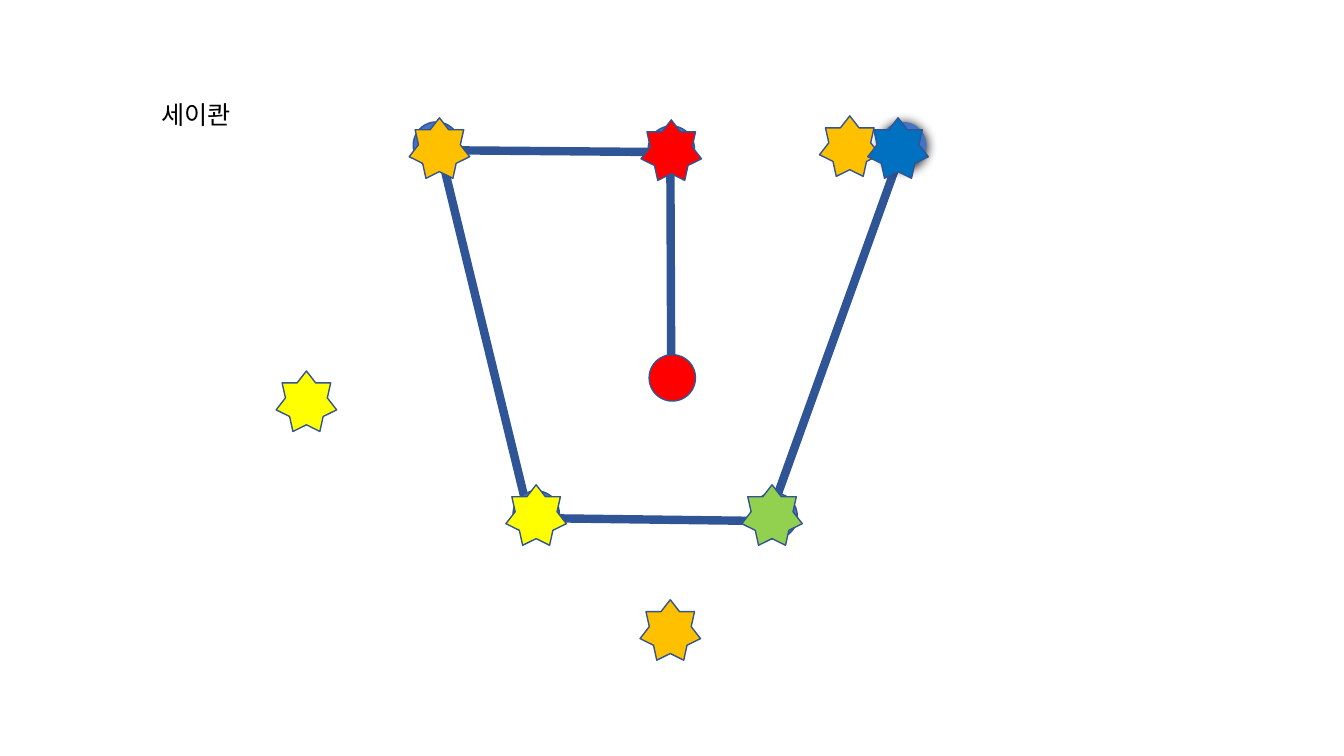
from lxml import etree
from pptx import Presentation
from pptx.dml.color import RGBColor
from pptx.enum.shapes import MSO_CONNECTOR, MSO_SHAPE
from pptx.enum.text import MSO_AUTO_SIZE
from pptx.oxml import parse_xml
from pptx.oxml.ns import nsdecls, qn
from pptx.util import Pt

FONT = "Noto Sans CJK KR"
BLACK = RGBColor(0x00, 0x00, 0x00)
NAVY = RGBColor(0x2F, 0x55, 0x97)
OUTLINE = RGBColor(0x32, 0x54, 0x91)
BLUE = RGBColor(0x44, 0x72, 0xC4)
DEEP_BLUE = RGBColor(0x00, 0x70, 0xC0)
RED = RGBColor(0xFF, 0x00, 0x00)
ORANGE = RGBColor(0xFF, 0xC0, 0x00)
YELLOW = RGBColor(0xFF, 0xFF, 0x00)
GREEN = RGBColor(0x92, 0xD0, 0x50)
CIRCLE, STAR = 33.1, 43.2

prs = Presentation()
prs.slide_width, prs.slide_height = Pt(960), Pt(540)
s = prs.slides.add_slide(prs.slide_layouts[6])


def add_route(x1, y1, x2, y2):
    line = s.shapes.add_connector(MSO_CONNECTOR.STRAIGHT, Pt(x1), Pt(y1), Pt(x2), Pt(y2))
    line.line.color.rgb = NAVY
    line.line.width = Pt(6)
    etree.SubElement(line._element.spPr, qn("a:effectLst"))


def add_marker(kind, x, y, size, color):
    sp = s.shapes.add_shape(kind, Pt(x), Pt(y), Pt(size), Pt(size))
    sp.shadow.inherit = False
    sp.fill.solid()
    sp.fill.fore_color.rgb = color
    sp.line.color.rgb = OUTLINE
    sp.line.width = Pt(1)
    return sp


# Routes behind the markers
for ends in [(549.4, 370.1, 644.4, 106.6), (378.7, 372.2, 311.8, 97.2),
             (478.8, 105.8, 479.5, 272.2), (481, 108.7, 313.9, 107.3)]:
    add_route(*ends)

# Title
tb = s.shapes.add_textbox(Pt(108), Pt(67.7), Pt(69.1), Pt(28.8))
tf = tb.text_frame
tf.word_wrap = False
tf.auto_size = MSO_AUTO_SIZE.SHAPE_TO_FIT_TEXT
r = tf.paragraphs[0].add_run()
r.text = "세이콴"
r.font.size = Pt(18)
r.font.name = FONT
r.font.color.rgb = BLACK
etree.SubElement(r.font._element, qn("a:ea")).set("typeface", FONT)

# Circles at the route ends
for x, y, color in [(463.7, 253.4, RED), (463, 90, BLUE), (536.4, 352.1, BLUE),
                    (366.5, 350.6, BLUE), (295.2, 87.1, BLUE)]:
    add_marker(MSO_SHAPE.OVAL, x, y, CIRCLE, color)

# Circle with a soft shadow and no outline
sp = add_marker(MSO_SHAPE.OVAL, 628.6, 87.1, CIRCLE, BLUE)
sp.line.fill.background()
sp._element.spPr.find(qn("a:effectLst")).append(parse_xml(
    f'<a:outerShdw {nsdecls("a")} blurRad="{Pt(8.5)}" dist="{Pt(1)}" dir="5400000" '
    'algn="ctr" rotWithShape="0"><a:srgbClr val="000000"/></a:outerShdw>'))

# Bottom route, above the circles
add_route(549.4, 372.2, 384.5, 370.1)

# Stars
for x, y, color in [(585.4, 82.8, ORANGE), (292.3, 84.2, ORANGE), (457.2, 428.4, ORANGE),
                    (457.9, 85.7, RED), (361.4, 346.3, YELLOW), (197.3, 265, YELLOW),
                    (529.9, 346.3, GREEN), (619.9, 84.2, DEEP_BLUE)]:
    add_marker(MSO_SHAPE.STAR_7_POINT, x, y, STAR, color)

prs.save("out.pptx")
